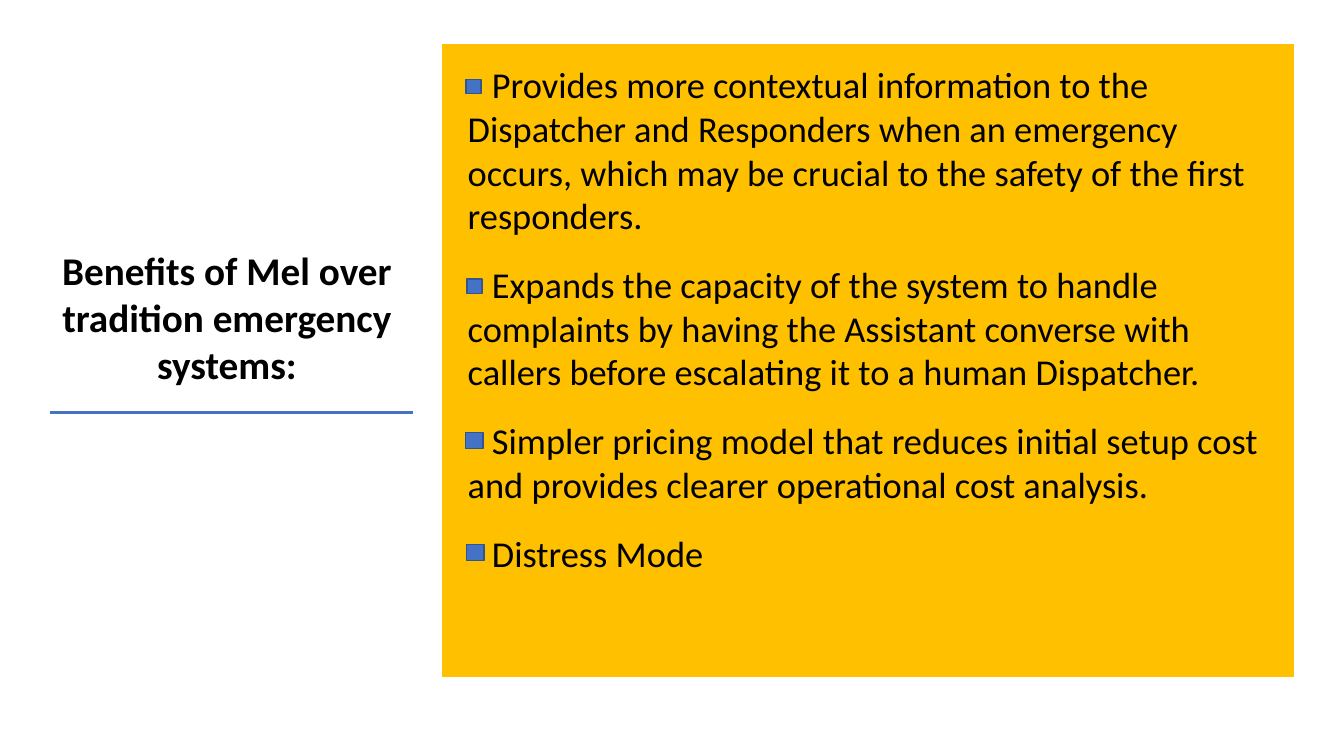
import pptx
import pptx.util
import pptx.dml.color
import pptx.enum.shapes
import pptx.enum.text
import pptx.oxml

RGB = pptx.dml.color.RGBColor
BLACK = RGB(0x00, 0x00, 0x00)
AMBER = RGB(0xFF, 0xC0, 0x00)
BLUE = RGB(0x44, 0x72, 0xC4)
DARK_BLUE = RGB(0x32, 0x54, 0x91)

TITLE = "Benefits of Mel over tradition emergency systems:"
BENEFITS = [
    "Provides more contextual information to the Dispatcher and Responders when an "
    "emergency occurs, which may be crucial to the safety of the first responders.",
    "Expands the capacity of the system to handle complaints by having the Assistant "
    "converse with callers before escalating it to a human Dispatcher.",
    "Simpler pricing model that reduces initial setup cost and provides clearer "
    "operational cost analysis.",
    "Distress Mode",
]
# left, top, width, height of the marker beside each benefit
MARKERS = [(462, 79, 15, 14), (463, 277, 15, 14), (462, 429, 17, 16), (463, 540, 17, 16)]


def px(length):
    """Turn px, at 100 to the inch, into EMU."""
    return pptx.util.Emu(length * 9144)


class SlideBuilder:
    font = "Calibri"

    def __init__(self, deck):
        self.page = deck.slides.add_slide(deck.slide_layouts[5])

    def style(self, para, size, bold=False):
        for span in para.runs:
            span.font.name = self.font
            span.font.size = pptx.util.Pt(size)
            span.font.bold = bold
            span.font.color.rgb = BLACK

    def title(self, text, left, top, width, height, size):
        box = self.page.shapes.title
        box.left, box.top, box.width, box.height = map(px, (left, top, width, height))
        frame = box.text_frame
        frame.text = text
        frame.word_wrap = True
        frame.auto_size = pptx.enum.text.MSO_AUTO_SIZE.NONE
        frame.vertical_anchor = pptx.enum.text.MSO_ANCHOR.TOP
        para = frame.paragraphs[0]
        para.alignment = pptx.enum.text.PP_ALIGN.CENTER
        self.style(para, size, bold=True)

    def rectangle(self, left, top, width, height, fill, line):
        shape = self.page.shapes.add_shape(
            pptx.enum.shapes.MSO_SHAPE.RECTANGLE, *map(px, (left, top, width, height)))
        shape.shadow.inherit = False
        shape.fill.solid()
        shape.fill.fore_color.rgb = fill
        shape.line.color.rgb = line
        shape.line.width = pptx.util.Pt(1)

    def paragraphs(self, texts, left, top, width, height, size, gap, first_indent):
        """Add a text box whose paragraphs each start with an indented line."""
        box = self.page.shapes.add_textbox(*map(px, (left, top, width, height)))
        frame = box.text_frame
        frame.word_wrap = True
        for index, text in enumerate(texts):
            para = frame.add_paragraph() if index else frame.paragraphs[0]
            para.text = text
            if index:
                para.space_before = pptx.util.Pt(gap)
            properties = para._p.get_or_add_pPr()
            properties.set("marL", "0")
            properties.set("indent", str(px(first_indent)))
            self.style(para, size)

    def rule(self, left, right, y, color, width):
        line = self.page.shapes.add_connector(
            pptx.enum.shapes.MSO_CONNECTOR.STRAIGHT, *map(px, (left, y, right, y)))
        line.line.color.rgb = color
        line.line.width = pptx.util.Pt(width)
        line._element.spPr.append(pptx.oxml.parse_xml(
            '<a:effectLst xmlns:a="http://schemas.openxmlformats.org/drawingml/2006/main"/>'))


def main():
    deck = pptx.Presentation()
    deck.slide_width, deck.slide_height = px(1333), px(750)
    slide = SlideBuilder(deck)
    slide.title(TITLE, 40, 239, 370, 151, size=28)
    slide.rule(50, 410, 409, BLUE, width=2.25)
    slide.rectangle(439, 44, 844, 627, AMBER, AMBER)
    slide.paragraphs(BENEFITS, 454, 57, 809, 571, size=26, gap=18, first_indent=24)
    for marker in MARKERS:
        slide.rectangle(*marker, BLUE, DARK_BLUE)
    deck.save("out.pptx")


if __name__ == "__main__":
    main()
